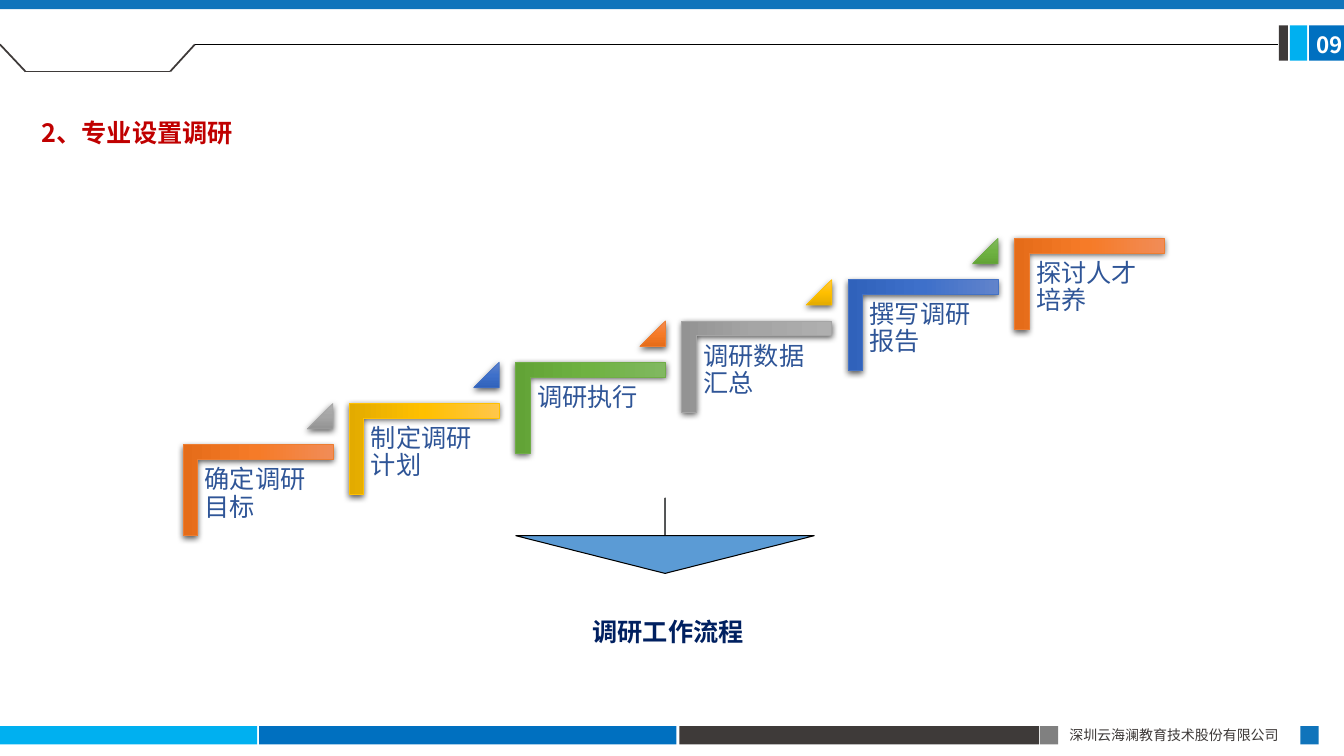
from itertools import pairwise

from lxml.etree import SubElement
from pptx import Presentation
from pptx.dml.color import RGBColor
from pptx.enum.shapes import MSO_CONNECTOR, MSO_SHAPE
from pptx.enum.text import MSO_ANCHOR, MSO_AUTO_SIZE, PP_ALIGN
from pptx.oxml import parse_xml
from pptx.oxml.ns import nsdecls, qn
from pptx.util import Cm, Pt

FONT = "Noto Sans CJK SC"
PAGE_W, PAGE_H = 33.87, 19.05
RUN, RISE = 4.19, 1.04  # offset from one stair to the next

# light, middle and dark gradient stops, then the outline
ORANGE = ("F18C57", "F67B28", "E56C19", "ED7D31")
GRAY = ("AFAFAF", "A5A5A5", "939393", "A5A5A5")
GOLD = ("FFC64B", "FFC000", "E3AB00", "FFC000")
BLUE = ("6183CB", "3E70CA", "3062BB", "4472C4")
GREEN = ("81B861", "6FB242", "62A336", "70AD47")

# label, corner palette, palette of the triangle leading to the next stair
STAIRS = [
    ("确定调研目标", ORANGE, GRAY),
    ("制定调研计划", GOLD, BLUE),
    ("调研执行", GREEN, ORANGE),
    ("调研数据汇总", GRAY, GOLD),
    ("撰写调研报告", BLUE, GREEN),
    ("探讨人才培养", ORANGE, None),
]


def rgb(value):
    return RGBColor.from_string(value)


def write(frame, text, size, color, bold=False, align=PP_ALIGN.LEFT,
          spacing=1.0, wrap=True):
    frame.word_wrap = wrap
    frame.auto_size = MSO_AUTO_SIZE.NONE
    frame.vertical_anchor = MSO_ANCHOR.TOP
    paragraph = frame.paragraphs[0]
    paragraph.alignment = align
    paragraph.line_spacing = spacing
    run = paragraph.add_run()
    run.text = text
    run.font.size = Pt(size)
    run.font.bold = bold
    run.font.color.rgb = rgb(color)
    run.font.name = FONT
    SubElement(run.font._element, qn("a:ea"), typeface=FONT)


def add_label(slide, left, top, width, height, text, size, color, inset=None, **style):
    frame = slide.shapes.add_textbox(Cm(left), Cm(top), Cm(width), Cm(height)).text_frame
    if inset is not None:
        frame.margin_left = frame.margin_right = Cm(inset)
        frame.margin_top = frame.margin_bottom = Cm(inset)
    write(frame, text, size, color, **style)


def add_preset(slide, preset, left, top, width, height, fill=None, line=None, weight=0.5):
    shape = slide.shapes.add_shape(preset, Cm(left), Cm(top), Cm(width), Cm(height))
    shape.shadow.inherit = False
    if fill:
        shape.fill.solid()
        shape.fill.fore_color.rgb = rgb(fill)
    if line:
        shape.line.color.rgb = rgb(line)
        shape.line.width = Pt(weight)
    else:
        shape.line.fill.background()
    return shape


def add_strip(slide, top, height, pieces):
    """Draw a row of blocks from (left, width, colour) triples."""
    for left, width, color in pieces:
        add_preset(slide, MSO_SHAPE.RECTANGLE, left, top, width, height, color)


def add_line(slide, start, end, color, weight):
    line = slide.shapes.add_connector(
        MSO_CONNECTOR.STRAIGHT, *(Cm(value) for value in start + end))
    line.line.color.rgb = rgb(color)
    line.line.width = Pt(weight)
    SubElement(line._element.spPr, qn("a:effectLst"))


def shade(shape, palette):
    """Give a shape a vertical three-stop gradient and a soft drop shadow."""
    stops = "".join(
        f'<a:gs pos="{50000 * i}"><a:srgbClr val="{color}"/></a:gs>'
        for i, color in enumerate(palette[:3]))
    properties = shape._element.spPr
    properties.find(qn("a:ln")).addprevious(parse_xml(
        f'<a:gradFill {nsdecls("a")} rotWithShape="1"><a:gsLst>{stops}</a:gsLst>'
        '<a:lin ang="5400000" scaled="0"/></a:gradFill>'))
    properties.find(qn("a:effectLst")).append(parse_xml(
        f'<a:outerShdw {nsdecls("a")} blurRad="57150" dist="19050" dir="5400000" '
        'algn="ctr" rotWithShape="0"><a:srgbClr val="000000">'
        '<a:alpha val="63000"/></a:srgbClr></a:outerShdw>'))


def add_header(slide, page_number):
    add_strip(slide, 0, 0.23, [(0, PAGE_W, "1074BB")])
    add_strip(slide, 0.64, 0.89, [
        (32.23, 0.23, "3E3A39"), (32.51, 0.43, "00B0F0"), (32.99, 0.88, "0070C0")])
    rule_y, notch_y = 1.12, 1.8
    notch = [(0, rule_y), (0.64, notch_y), (4.29, notch_y), (4.91, rule_y)]
    for start, end in pairwise(notch):
        add_line(slide, start, end, "3E3A39", 1.25)
    add_line(slide, notch[-1], (32.2, rule_y), "000000", 0.5)
    add_label(slide, 32.92, 0.66, 0.95, 0.94, page_number, 16, "FFFFFF",
              bold=True, wrap=False)


def add_footer(slide, company):
    add_strip(slide, 18.3, 0.46, [
        (0, 6.48, "00B0F0"), (6.53, 10.52, "0070C0"), (17.12, 9.07, "3E3A39"),
        (26.21, 0.46, "808080"), (32.77, 0.46, "1074BB")])
    add_label(slide, 26.7, 18.19, 6.1, 0.69, company, 10, "3E3A39",
              align=PP_ALIGN.JUSTIFY)


def add_title(slide, left, top, width, height, text):
    title = slide.shapes.title
    title.left, title.top, title.width, title.height = map(Cm, (left, top, width, height))
    write(title.text_frame, text, 18, "C00000", bold=True,
          align=PP_ALIGN.CENTER, spacing=1.5, wrap=False)


def add_stair(slide, left, top, width, height, label, palette, next_palette):
    # The corner is laid out sideways and turned a quarter about its centre.
    turn = (width - height) / 2
    corner = add_preset(slide, MSO_SHAPE.CORNER, left + turn, top - turn,
                        height, width, line=palette[3])
    corner.rotation = 90
    corner.adjustments[0] = corner.adjustments[1] = 0.161
    shade(corner, palette)
    add_label(slide, left + 0.37, top + 0.38, 3.43, 3, label, 18, "2F5597",
              inset=0.18, spacing=0.9)
    if next_palette:
        side = 0.64
        triangle = add_preset(slide, MSO_SHAPE.ISOSCELES_TRIANGLE, left + width - side,
                              top - RISE, side, side, line=next_palette[3])
        triangle.adjustments[0] = 1
        shade(triangle, next_palette)


def add_staircase(slide, left, top):
    """Place the stairs upwards from the lowest one, whose corner is given."""
    for i, stair in enumerate(STAIRS):
        add_stair(slide, left + i * RUN, top - i * RISE, 3.78, 2.29, *stair)


def add_conclusion(slide, left, top, width, text):
    arrow = add_preset(slide, MSO_SHAPE.DOWN_ARROW, left, top, width, 1.9,
                       "5B9BD5", "000000", 0.75)
    arrow.adjustments[0] = 0
    arrow.adjustments[1] = 0.5
    add_label(slide, left + 0.08, top + 2.9, width, 1, text, 18, "002060",
              bold=True, align=PP_ALIGN.CENTER, spacing=0.96, wrap=False)


def main():
    deck = Presentation()
    deck.slide_width, deck.slide_height = Cm(PAGE_W), Cm(PAGE_H)
    slide = deck.slides.add_slide(deck.slide_layouts[5])
    add_footer(slide, "深圳云海澜教育技术股份有限公司")
    add_header(slide, "09")
    add_title(slide, 0.69, 2.44, 5.54, 1.42, "2、专业设置调研")
    add_staircase(slide, 4.61, 11.21)
    add_conclusion(slide, 13, 12.55, 7.52, "调研工作流程")
    deck.save("out.pptx")


if __name__ == "__main__":
    main()
